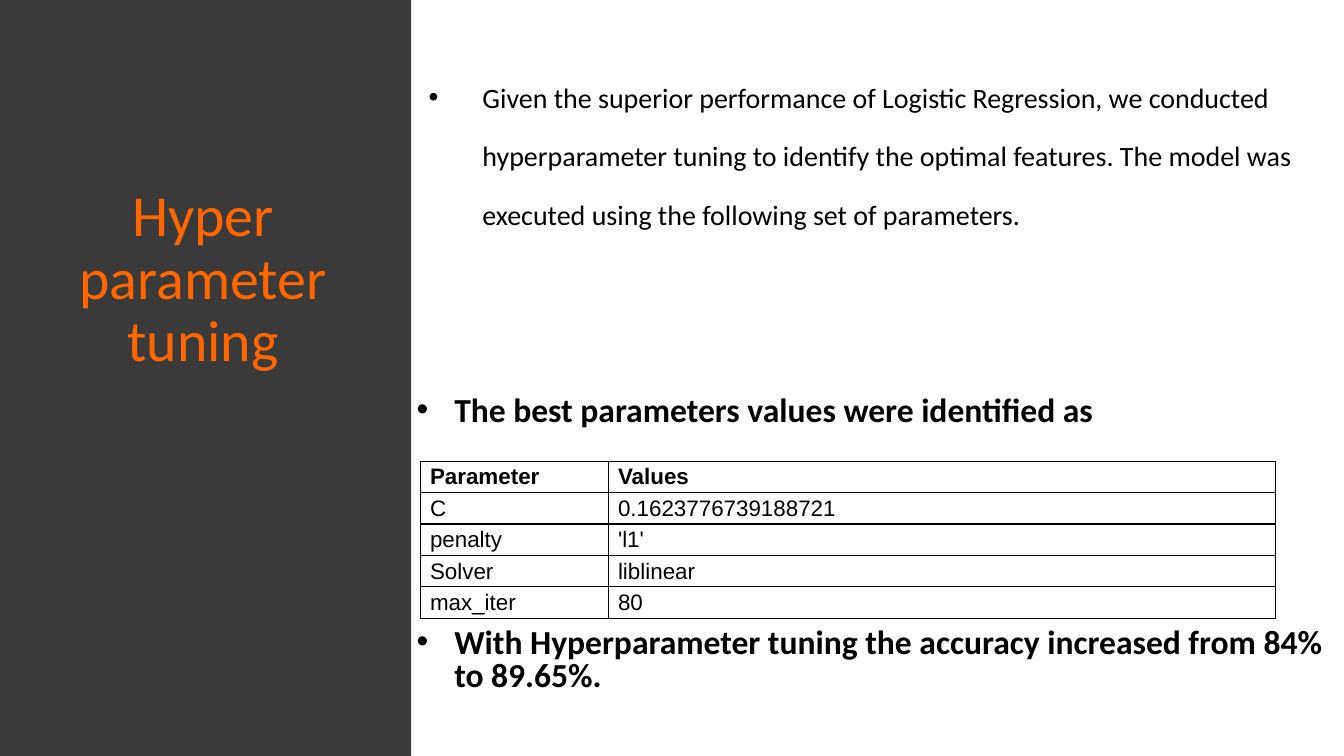
from lxml.etree import SubElement
from pptx import Presentation
from pptx.dml.color import RGBColor
from pptx.enum.shapes import MSO_SHAPE
from pptx.enum.text import MSO_ANCHOR, MSO_AUTO_SIZE, PP_ALIGN
from pptx.oxml.ns import qn
from pptx.util import Inches, Pt

WIDTH = Inches(10)
HEIGHT = WIDTH * 9 // 16
CHARCOAL, ORANGE, BLACK = "3A3A3A", "FF6600", "000000"
PARAMETERS = [
    ("Parameter", "Values"),
    ("C", "0.1623776739188721"),
    ("penalty", "'l1'"),
    ("Solver", "liblinear"),
    ("max_iter", "80"),
]


def color(code):
    return RGBColor.from_string(code)


def area(left, top, width, height):
    return [
        int(percent * side / 100)
        for percent, side in zip((left, top, width, height), (WIDTH, HEIGHT) * 2)
    ]


def write(frame, text, size=18, font="Calibri", fill=BLACK, bold=False,
          align=PP_ALIGN.LEFT, spacing=1.0):
    paragraph = frame.paragraphs[0]
    paragraph.alignment = align
    paragraph.line_spacing = spacing
    run = paragraph.add_run()
    run.text = text
    run.font.size = Pt(size)
    run.font.name = font
    run.font.bold = bold
    run.font.color.rgb = color(fill)
    return paragraph


def prepare(frame, top_inset):
    frame.word_wrap = True
    frame.auto_size = MSO_AUTO_SIZE.NONE
    frame.vertical_anchor = MSO_ANCHOR.TOP
    frame.margin_left = frame.margin_right = frame.margin_bottom = 0
    frame.margin_top = Inches(top_inset)


def add_sidebar(slide):
    sidebar = slide.shapes.add_shape(MSO_SHAPE.RECTANGLE, *area(0, 0, 30.6, 100))
    sidebar.shadow.inherit = False
    sidebar.fill.solid()
    sidebar.fill.fore_color.rgb = color(CHARCOAL)
    sidebar.line.fill.background()
    slide.shapes._spTree.insert(2, sidebar._element)


def add_title(slide, text):
    title = slide.shapes.title
    title.left, title.top, title.width, title.height = area(2.0, 23.1, 26.2, 26.7)
    prepare(title.text_frame, 0.09)
    write(title.text_frame, text, size=31, fill=ORANGE,
          align=PP_ALIGN.CENTER, spacing=0.9)


def add_bullet(slide, text, place, top_inset=0.07, indent=0.29, hanging=0.28, **style):
    frame = slide.shapes.add_textbox(*area(*place)).text_frame
    prepare(frame, top_inset)
    properties = write(frame, text, **style)._p.get_or_add_pPr()
    properties.set("marL", str(Inches(indent)))
    properties.set("indent", str(-Inches(hanging)))
    marker_color = SubElement(properties, qn("a:buClr"))
    SubElement(marker_color, qn("a:srgbClr"), val=BLACK)
    SubElement(properties, qn("a:buFont"), typeface="Arial")
    SubElement(properties, qn("a:buChar"), char="•")


def outline(cell):
    properties = cell._tc.get_or_add_tcPr()
    for edge in ("a:lnL", "a:lnR", "a:lnT", "a:lnB"):
        border = SubElement(properties, qn(edge), w=str(Pt(0.75)))
        SubElement(SubElement(border, qn("a:solidFill")), qn("a:srgbClr"), val=BLACK)


def add_parameter_table(slide, rows):
    place = area(31.3, 61, 63.6, 20.8)
    table = slide.shapes.add_table(len(rows), 2, *place).table
    table.first_row = table.horz_banding = False
    for column, share in zip(table.columns, (0.22, 0.78)):
        column.width = int(place[2] * share)
    for row_index, row in enumerate(rows):
        for column_index, value in enumerate(row):
            cell = table.cell(row_index, column_index)
            cell.margin_left = Inches(0.07)
            cell.margin_right = cell.margin_top = cell.margin_bottom = 0
            outline(cell)
            cell.fill.background()
            write(cell.text_frame, value, size=12, font="Arial",
                  bold=row_index == 0, spacing=1.13)


def main():
    deck = Presentation()
    deck.slide_width, deck.slide_height = WIDTH, HEIGHT
    slide = deck.slides.add_slide(deck.slide_layouts[5])
    add_sidebar(slide)
    add_title(slide, "Hyper parameter tuning")
    add_bullet(
        slide,
        "Given the superior performance of Logistic Regression, we conducted "
        "hyperparameter tuning to identify the optimal features. The model was "
        "executed using the following set of parameters.",
        (30.9, 6.04, 67, 34.7), indent=0.5, hanging=0.4, size=15, spacing=1.75,
    )
    add_bullet(slide, "The best parameters values were identified as",
               (30.9, 51.25, 50.7, 5.7), top_inset=0.01, bold=True)
    add_bullet(slide,
               "With Hyperparameter tuning the accuracy increased from 84% to 89.65%.",
               (30.9, 81.96, 67.6, 10), bold=True, spacing=0.8)
    add_parameter_table(slide, PARAMETERS)
    deck.save("out.pptx")


if __name__ == "__main__":
    main()
